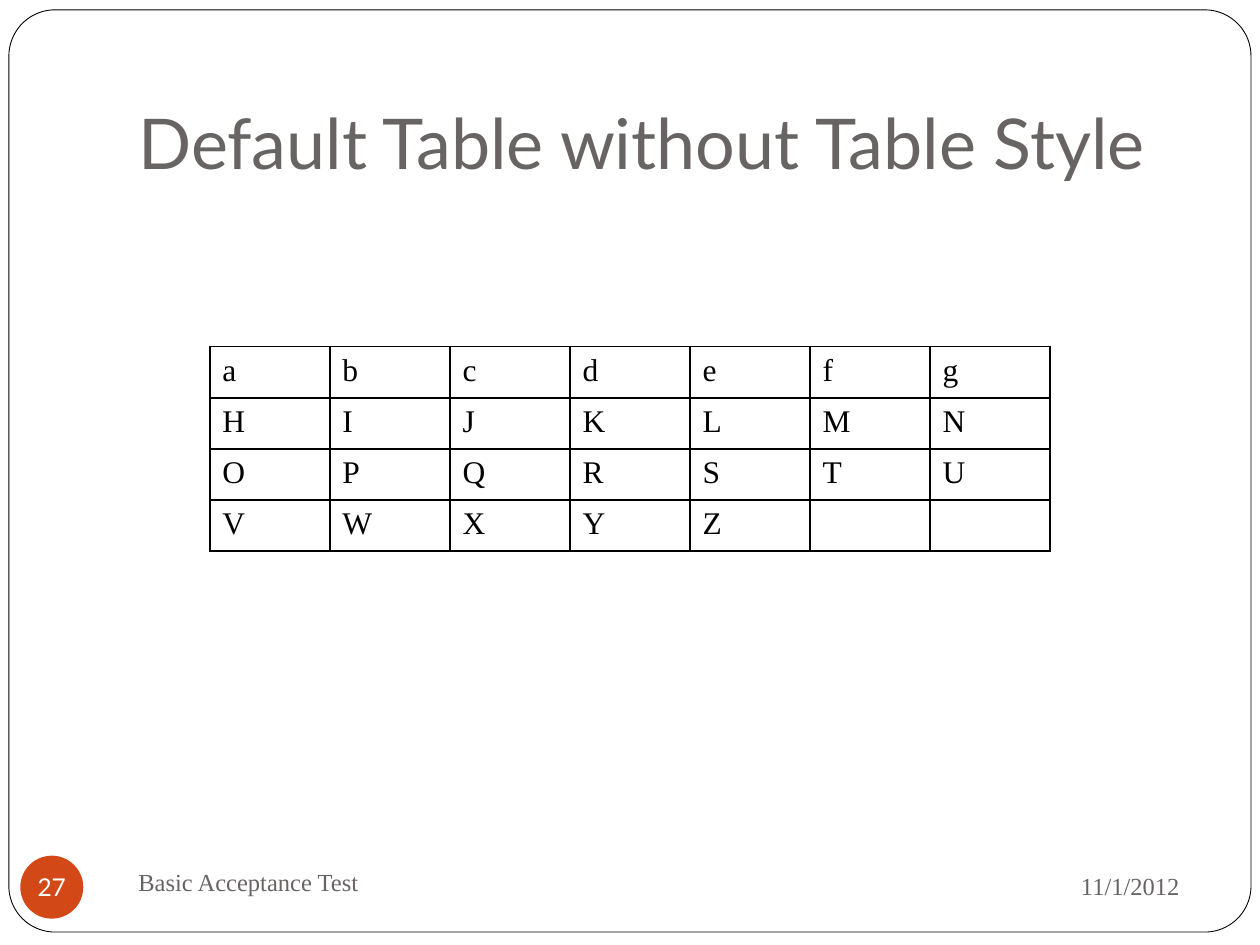
from dataclasses import dataclass

from lxml.etree import SubElement
from pptx import Presentation
from pptx.dml.color import RGBColor
from pptx.enum.shapes import MSO_SHAPE as Preset
from pptx.enum.text import MSO_ANCHOR as Anchor, PP_ALIGN as Align
from pptx.oxml.ns import qn
from pptx.util import Cm, Pt

BLACK = RGBColor(0x00, 0x00, 0x00)
WHITE = RGBColor(0xFF, 0xFF, 0xFF)
GRAY = RGBColor(0x69, 0x64, 0x64)
ORANGE = RGBColor(0xD3, 0x48, 0x17)
SANS = "Lato"
SERIF = "Times New Roman"

ROWS = ("abcdefg", "HIJKLMN", "OPQRSTU", "VWXYZ")
COLUMN_COUNT = 7
COLUMN_WIDTH = Cm(2.42)
ROW_HEIGHT = Cm(1.03)
BORDER_WIDTH = Pt(1)


@dataclass(frozen=True)
class Box:
    """A place on the slide, in centimetres."""
    left: float
    top: float
    width: float
    height: float

    def lengths(self) -> tuple:
        return Cm(self.left), Cm(self.top), Cm(self.width), Cm(self.height)


@dataclass(frozen=True)
class Label:
    text: str
    box: Box
    size: int
    font: str
    anchor: Anchor = Anchor.MIDDLE
    align: Align = Align.LEFT
    bottom_margin: float = 0.13


LABELS = (
    Label("Default Table without Table Style", Box(2.54, 0.76, 21.59, 3.18),
          40, SANS, anchor=Anchor.BOTTOM, bottom_margin=0.25),
    Label("11/1/2012", Box(17.15, 17.2, 6.88, 1.32), 14, SERIF, align=Align.RIGHT),
    Label("Basic Acceptance Test", Box(2.54, 17.15, 11, 1.27), 14, SERIF),
)


def write_text(frame, text: str, *, size: int, font: str, color: RGBColor,
               align: Align = Align.LEFT) -> None:
    paragraph = frame.paragraphs[0]
    paragraph.alignment = align
    run = paragraph.add_run()
    run.text = text
    run.font.size = Pt(size)
    run.font.name = font
    run.font.color.rgb = color


def add_label(slide, label: Label) -> None:
    frame = slide.shapes.add_textbox(*label.box.lengths()).text_frame
    frame.word_wrap = True
    frame.vertical_anchor = label.anchor
    frame.margin_bottom = Cm(label.bottom_margin)
    write_text(frame, label.text, size=label.size, font=label.font,
               color=GRAY, align=label.align)


def add_filled_shape(slide, preset: Preset, box: Box, fill: RGBColor):
    shape = slide.shapes.add_shape(preset, *box.lengths())
    shape.shadow.inherit = False
    shape.fill.solid()
    shape.fill.fore_color.rgb = fill
    shape.line.fill.background()
    return shape


def add_frame(slide) -> None:
    frame = add_filled_shape(slide, Preset.ROUNDED_RECTANGLE,
                             Box(0.18, 0.2, 25.04, 18.59), WHITE)
    frame.adjustments[0] = 0.05
    frame.line.color.rgb = BLACK
    frame.line.width = Pt(0.5)


def add_page_number(slide, number: str) -> None:
    badge = add_filled_shape(slide, Preset.OVAL, Box(0.41, 17.25, 1.27, 1.27), ORANGE)
    frame = badge.text_frame
    frame.word_wrap = False
    frame.vertical_anchor = Anchor.MIDDLE
    frame.margin_left = frame.margin_right = frame.margin_top = frame.margin_bottom = 0
    write_text(frame, number, size=14, font=SANS, color=WHITE, align=Align.CENTER)


def add_borders(cell) -> None:
    properties = cell._tc.get_or_add_tcPr()
    for side in ("a:lnL", "a:lnR", "a:lnT", "a:lnB"):
        line = SubElement(properties, qn(side), w=str(BORDER_WIDTH))
        fill = SubElement(line, qn("a:solidFill"))
        SubElement(fill, qn("a:srgbClr"), val=str(BLACK))


def add_letter_table(slide) -> None:
    table = slide.shapes.add_table(
        len(ROWS), COLUMN_COUNT, Cm(4.23), Cm(6.99),
        COLUMN_WIDTH * COLUMN_COUNT, ROW_HEIGHT * len(ROWS)).table
    table.first_row = table.horz_banding = False
    for column in table.columns:
        column.width = COLUMN_WIDTH
    for row, letters in zip(table.rows, ROWS):
        row.height = ROW_HEIGHT
        for cell in row.cells:
            add_borders(cell)
            cell.fill.background()
        for cell, letter in zip(row.cells, letters):
            write_text(cell.text_frame, letter, size=18, font=SERIF, color=BLACK)


def main() -> None:
    presentation = Presentation()
    presentation.slide_width = Cm(25.4)
    presentation.slide_height = Cm(19.05)
    slide = presentation.slides.add_slide(presentation.slide_layouts[6])
    add_frame(slide)
    for label in LABELS:
        add_label(slide, label)
    add_page_number(slide, "27")
    add_letter_table(slide)
    presentation.save("out.pptx")


if __name__ == "__main__":
    main()
